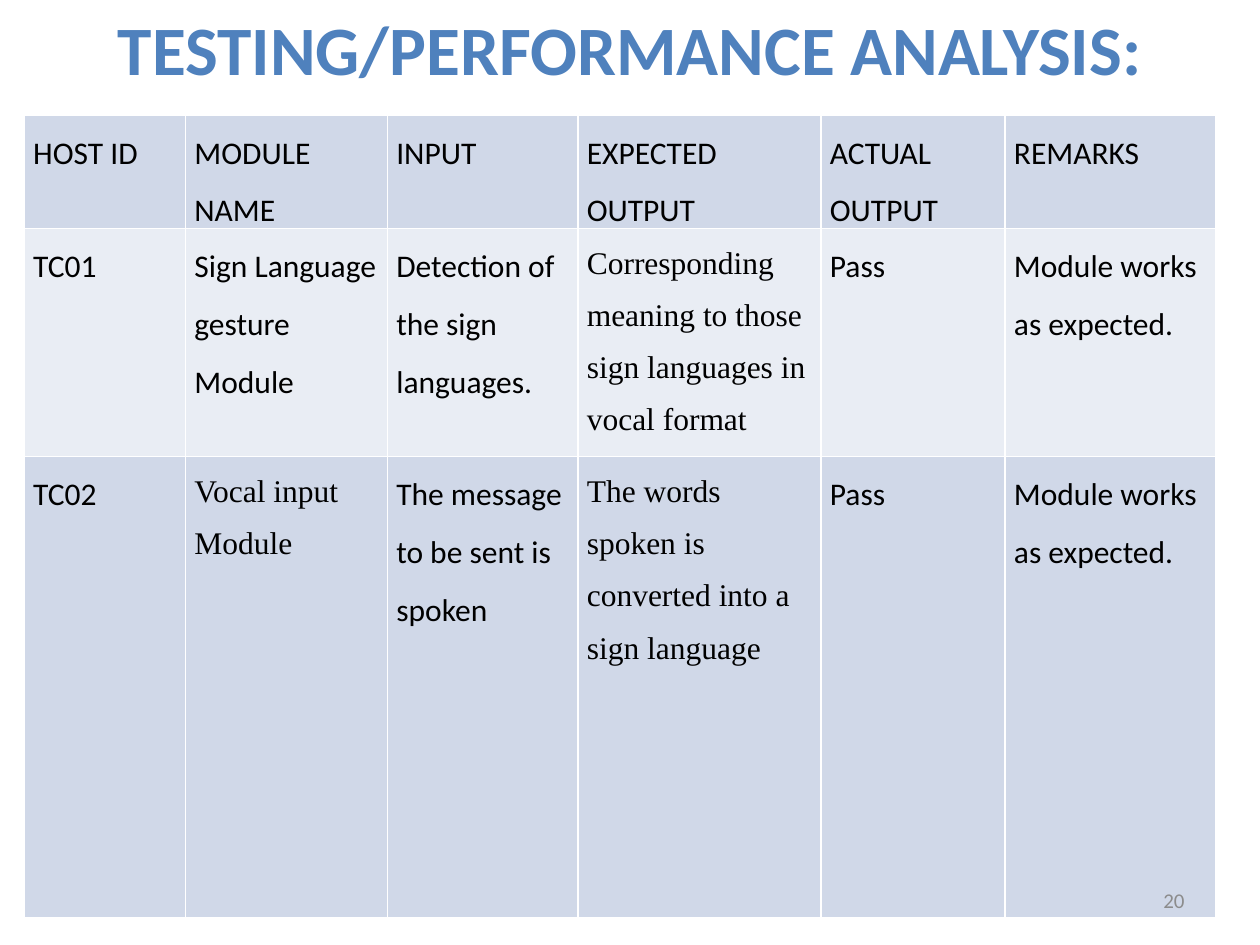
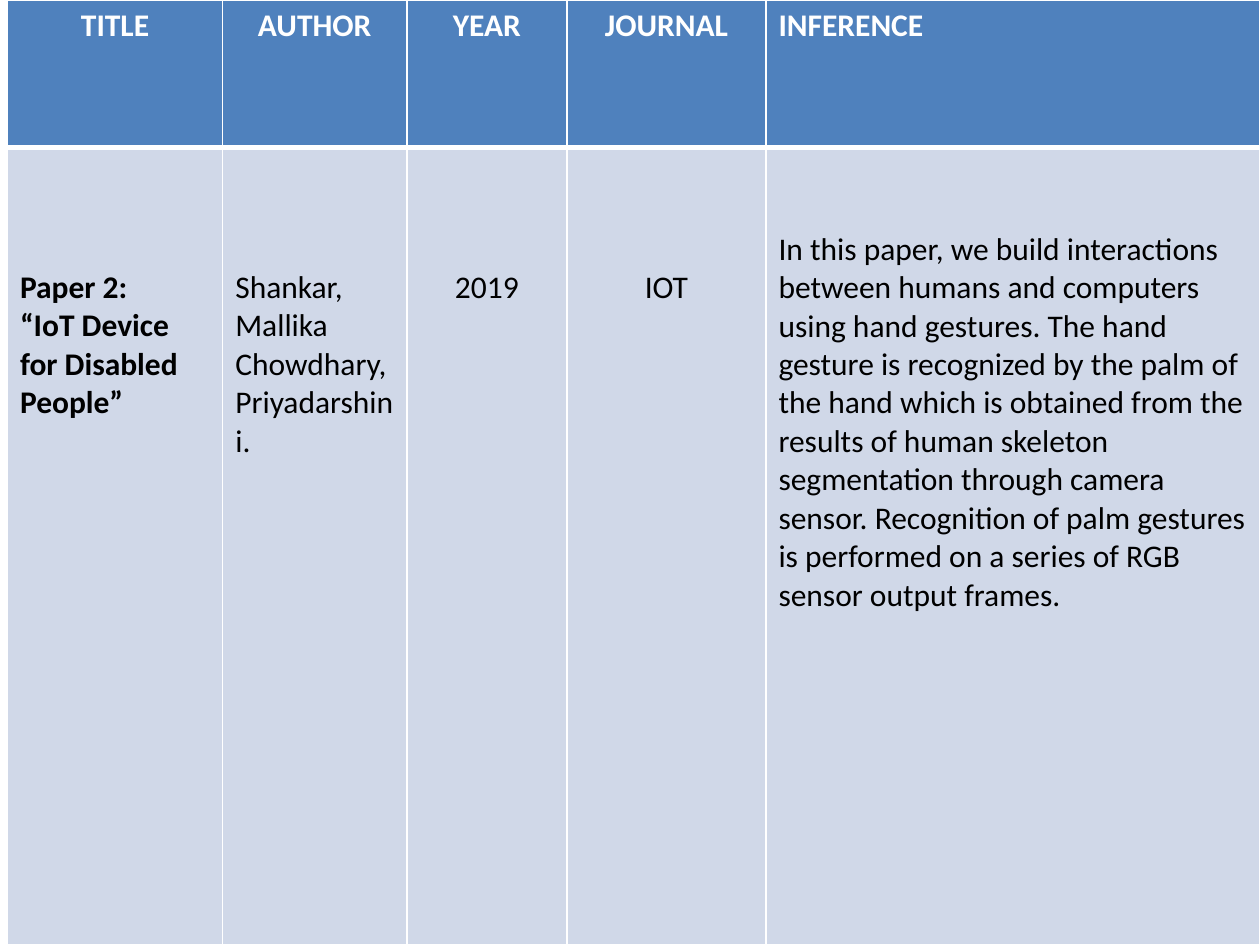
from lxml import etree
from pptx import Presentation
from pptx.dml.color import RGBColor
from pptx.enum.text import MSO_ANCHOR, PP_ALIGN
from pptx.oxml.ns import qn
from pptx.util import Cm, Pt

BLUE, PALE, LIGHT = "4F81BD", "D0D8E8", "E9EDF4"
WHITE, BLACK, GREY = "FFFFFF", "000000", "8C8C8C"
SANS, SERIF = "Calibri", "Times New Roman"
LEFT, MID, RIGHT = PP_ALIGN.LEFT, PP_ALIGN.CENTER, PP_ALIGN.RIGHT


def style(frame, size, color, bold=False, align=LEFT, face=SANS, gap=None):
    """Format every paragraph and run of a text frame."""
    frame.word_wrap = True
    for para in frame.paragraphs:
        para.alignment = align
        if gap:
            para.line_spacing = gap
        for run in para.runs:
            font = run.font
            font.name, font.size, font.bold = face, Pt(size), bold
            font.color.rgb = RGBColor.from_string(color)


def grid(slide, left, top, cols, rows, fills, edges):
    """Add a table; edges holds the widths of its horizontal lines."""
    frame = slide.shapes.add_table(len(rows), len(cols), Cm(left), Cm(top),
                                   Cm(sum(cols)), Cm(sum(rows)))
    table = frame.table
    table.first_row = table.horz_banding = False
    for col, width in zip(table.columns, cols):
        col.width = Cm(width)
    for i, height in enumerate(rows):
        table.rows[i].height = Cm(height)
        for cell in table.rows[i].cells:
            props = cell._tc.get_or_add_tcPr()
            sides = {"lnL": 1, "lnR": 1, "lnT": edges[i], "lnB": edges[i + 1]}
            for side, width in sides.items():
                line = etree.SubElement(props, qn("a:" + side), w=str(Pt(width)))
                fill = etree.SubElement(line, qn("a:solidFill"))
                etree.SubElement(fill, qn("a:srgbClr"), val=WHITE)
            cell.fill.solid()
            cell.fill.fore_color.rgb = RGBColor.from_string(fills[i])
    return table


deck = Presentation()
deck.slide_width, deck.slide_height = Cm(25.4), Cm(19.05)
blank = deck.slide_layouts[6]

# Slide 1: test results
slide = deck.slides.add_slide(blank)
title = slide.shapes.add_textbox(Cm(1.27), Cm(0), Cm(22.86), Cm(1.93)).text_frame
title.text = "TESTING/PERFORMANCE ANALYSIS:"
title.vertical_anchor = MSO_ANCHOR.MIDDLE
style(title, 39.6, BLUE, True, MID)

tests = [
    ["HOST ID", "MODULE NAME", "INPUT", "EXPECTED OUTPUT", "ACTUAL OUTPUT",
     "REMARKS"],
    ["TC01", "Sign Language gesture Module", "Detection of the sign languages.",
     "Corresponding meaning to those sign languages in vocal format", "Pass",
     "Module works as expected."],
    ["TC02", "Vocal input Module", "The message to be sent is spoken",
     "The words spoken is converted into a sign language", "Pass",
     "Module works as expected."],
]
serifs = {(1, 3), (2, 1), (2, 3)}
table = grid(slide, 0.49, 2.32, [3.25, 4.07, 3.84, 4.9, 3.71, 4.24],
             [1.83, 4.6, 9.3], [PALE, LIGHT, PALE], [1, 1, 1, 1])
for i, row in enumerate(tests):
    for j, text in enumerate(row):
        cell = table.cell(i, j)
        cell.margin_left = cell.margin_right = Cm(0.18)
        cell.margin_top = cell.margin_bottom = 0
        cell.text_frame.text = text
        face = SERIF if (i, j) in serifs else SANS
        style(cell.text_frame, 18, BLACK, face=face, gap=1.5)

number = slide.shapes.add_textbox(Cm(18.2), Cm(17.65), Cm(5.93), Cm(1.01)).text_frame
number.text = "20"
number.vertical_anchor = MSO_ANCHOR.MIDDLE
style(number, 12, GREY, align=RIGHT)

# Slide 2: reviewed paper
slide = deck.slides.add_slide(blank)
# heading, heading alignment, body, body alignment, blank lines above, bold
paper = [
    ("TITLE", MID, "Paper 2:\n“IoT Device for Disabled People”", LEFT, 3, True),
    ("AUTHOR", MID, "Shankar, Mallika Chowdhary, Priyadarshini.", LEFT, 3, False),
    ("YEAR", MID, "2019", MID, 3, False),
    ("JOURNAL", MID, "IOT", MID, 3, False),
    ("INFERENCE", LEFT,
     "In this paper, we build interactions between humans and computers using "
     "hand gestures. The hand gesture is recognized by the palm of the hand "
     "which is obtained from the results of human skeleton segmentation through "
     "camera sensor. Recognition of palm gestures is performed on a series of "
     "RGB sensor output frames.", LEFT, 2, False),
]
table = grid(slide, 0.15, 0, [4.34, 3.71, 3.23, 4.01, 9.96], [2.97, 16.08],
             [BLUE, PALE], [1, 3, 1])
for j, (head, side, body, align, lines, bold) in enumerate(paper):
    cell = table.cell(0, j)
    cell.text_frame.text = head
    style(cell.text_frame, 18, WHITE, True, side)
    cell = table.cell(1, j)
    cell.margin_top = Cm(0.13 + 0.77 * lines)
    cell.text_frame.text = body
    style(cell.text_frame, 18, BLACK, bold, align)

deck.save("out.pptx")
